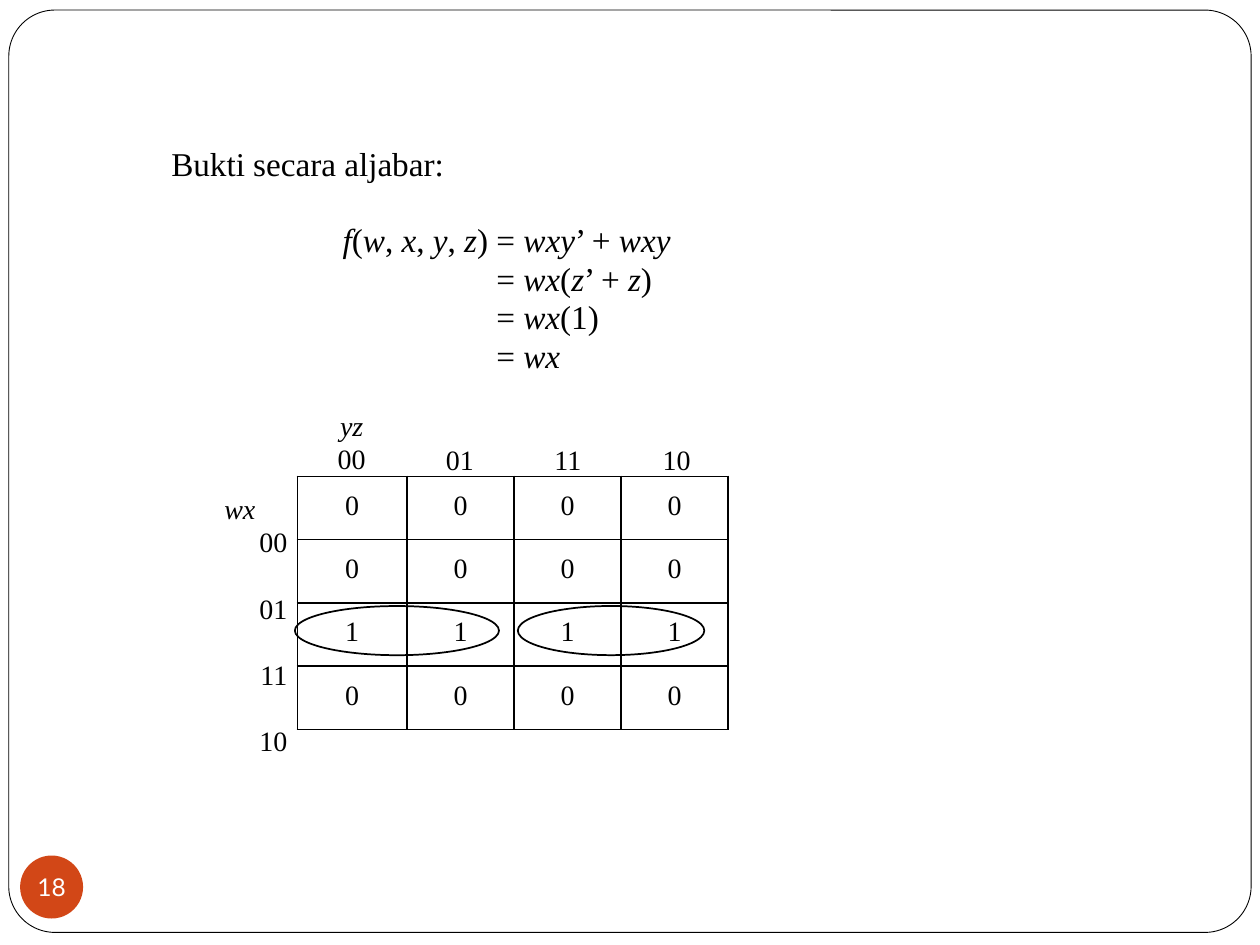
from dataclasses import dataclass
from typing import Any

from lxml.etree import SubElement
from pptx import Presentation
from pptx.dml.color import RGBColor
from pptx.enum.shapes import MSO_SHAPE as Preset
from pptx.enum.text import MSO_ANCHOR as Anchor, PP_ALIGN as Align
from pptx.oxml.ns import qn
from pptx.util import Inches, Pt


@dataclass(frozen=True)
class Theme:
    ink: RGBColor = RGBColor(0, 0, 0)
    badge: RGBColor = RGBColor(0xD2, 0x47, 0x17)
    badge_text: RGBColor = RGBColor(255, 255, 255)
    serif: str = "Times New Roman"
    sans: str = "Lato"
    formula_size: float = 19
    map_size: float = 16
    badge_size: float = 14


@dataclass(frozen=True)
class Box:
    left: float
    top: float
    width: float
    height: float

    def lengths(self) -> tuple:
        return tuple(Inches(v) for v in (self.left, self.top, self.width, self.height))


@dataclass(frozen=True)
class Line:
    text: str
    indent: float = 0.01
    spacing: float | None = None
    before: float = 0
    align: Any = Align.LEFT
    tab: float | None = None


THEME = Theme()
SERIF = {"name": THEME.serif, "bold": False}
FORMULA = {**SERIF, "size": Pt(THEME.formula_size)}
MAP = {**SERIF, "size": Pt(THEME.map_size)}
BADGE = {"name": THEME.sans, "size": Pt(THEME.badge_size)}
CODES = ("00", "01", "11", "10")
VALUES = ("0000", "0000", "1111", "0000")


def apply(target: Any, values: dict) -> None:
    for name, value in values.items():
        setattr(target, name, value)


def write_line(paragraph: Any, line: Line, font: dict, color: RGBColor) -> None:
    properties = paragraph._p.get_or_add_pPr()
    properties.set("marL", str(Inches(line.indent)))
    properties.set("indent", "0")
    apply(paragraph, {"alignment": line.align, "space_before": Pt(line.before)})
    if line.spacing:
        paragraph.line_spacing = Pt(line.spacing)
    if line.tab:
        tabs = SubElement(properties, qn("a:tabLst"))
        SubElement(tabs, qn("a:tab"), pos=str(Inches(line.tab)), algn="l")
    for index, part in enumerate(line.text.split("*")):
        if part:
            run = paragraph.add_run()
            run.text = part
            apply(run.font, {**font, "italic": index % 2 == 1})
            run.font.color.rgb = color


def write_lines(shape: Any, lines: list[Line], font: dict, top: float = 0,
                color: RGBColor = THEME.ink, anchor: Any = Anchor.TOP) -> None:
    frame = shape.text_frame
    apply(frame, {"word_wrap": True, "vertical_anchor": anchor, "margin_left": 0,
                  "margin_right": 0, "margin_top": Inches(top), "margin_bottom": 0})
    for index, line in enumerate(lines):
        paragraph = frame.add_paragraph() if index else frame.paragraphs[0]
        write_line(paragraph, line, font, color)


def add_text(slide: Any, box: Box, lines: list[Line], font: dict, top: float) -> None:
    write_lines(slide.shapes.add_textbox(*box.lengths()), lines, font, top)


def add_outline(slide: Any, preset: Any, box: Box, width: float) -> Any:
    shape = slide.shapes.add_shape(preset, *box.lengths())
    shape.shadow.inherit = False
    shape.fill.background()
    shape.line.color.rgb = THEME.ink
    shape.line.width = Pt(width)
    return shape


def add_badge(slide: Any, box: Box, number: str) -> None:
    badge = slide.shapes.add_shape(Preset.OVAL, *box.lengths())
    badge.shadow.inherit = False
    badge.fill.solid()
    badge.fill.fore_color.rgb = THEME.badge
    badge.line.fill.background()
    write_lines(badge, [Line(number, indent=0, align=Align.CENTER)], BADGE,
                color=THEME.badge_text, anchor=Anchor.MIDDLE)


def border_cell(cell: Any) -> None:
    properties = cell._tc.get_or_add_tcPr()
    for position, side in enumerate(("lnL", "lnR", "lnT", "lnB")):
        border = properties.makeelement(qn(f"a:{side}"), {"w": str(Pt(1))})
        fill = SubElement(border, qn("a:solidFill"))
        SubElement(fill, qn("a:srgbClr"), val=str(THEME.ink))
        properties.insert(position, border)


def add_map(slide: Any, box: Box) -> None:
    table = slide.shapes.add_table(len(VALUES), len(CODES), *box.lengths()).table
    apply(table, {"first_row": False, "horz_banding": False})
    for index, column in enumerate(table.columns):
        column.width = Inches(0.85 if index else 0.87)
    for row, digits in zip(table.rows, VALUES):
        row.height = Inches(box.height / len(VALUES))
        for cell, digit in zip(row.cells, digits):
            cell.fill.background()
            border_cell(cell)
            apply(cell, {"margin_left": 0, "margin_right": 0,
                         "margin_top": Inches(0.11), "margin_bottom": 0})
            write_line(cell.text_frame.paragraphs[0],
                       Line(digit, indent=0, align=Align.CENTER), MAP, THEME.ink)


def main() -> None:
    presentation = Presentation()
    apply(presentation, {"slide_width": Inches(10), "slide_height": Inches(7.5)})
    slide = presentation.slides.add_slide(presentation.slide_layouts[5])

    frame = add_outline(slide, Preset.ROUNDED_RECTANGLE, Box(0.07, 0.08, 9.86, 7.32), 0.5)
    frame.adjustments[0] = 0.05
    add_badge(slide, Box(0.16, 6.79, 0.5, 0.5), "18")

    title = slide.shapes.title
    apply(title, dict(zip(("left", "top", "width", "height"),
                          Box(1.35, 1.13, 2.4, 0.35).lengths())))
    write_lines(title, [Line("Bukti secara aljabar:")], FORMULA, 0.01)

    add_text(slide, Box(2.71, 1.74, 2.8, 1.26), [
        Line("*f*(*w*, *x*, *y*, *z*) = *wxy*’ + *wxy*", spacing=22.4),
        Line("= *wx*(*z*’ + *z*)", 1.23, 21.9),
        Line("= *wx*(1)", 1.23, 21.9),
        Line("= *wx*", 1.23, 22.4),
    ], FORMULA, 0.01)

    add_text(slide, Box(2.67, 3.23, 0.3, 0.56),
             [Line("*yz*", 0.03, 18.9), Line(CODES[0], spacing=18.9)], MAP, 0.02)
    for index, code in enumerate(CODES[1:], 1):
        add_text(slide, Box(2.67 + 0.86 * index, 3.49, 0.3, 0.3), [Line(code)], MAP, 0.02)

    add_map(slide, Box(2.36, 3.78, 3.42, 2.01))
    row_labels = [Line(f"*wx*\t*{CODES[0]}".replace("\t*", "*\t").replace("**", "*"),
                       indent=0, align=Align.RIGHT, tab=0.42)]
    row_labels += [Line(code, indent=0, before=18.7, align=Align.RIGHT) for code in CODES[1:]]
    add_text(slide, Box(1.6, 3.88, 0.68, 1.81), row_labels, MAP, 0.02)

    for left, width in ((2.34, 1.62), (4.11, 1.48)):
        add_outline(slide, Preset.OVAL, Box(left, 4.81, width, 0.39), 1)

    presentation.save("out.pptx")


if __name__ == "__main__":
    main()
